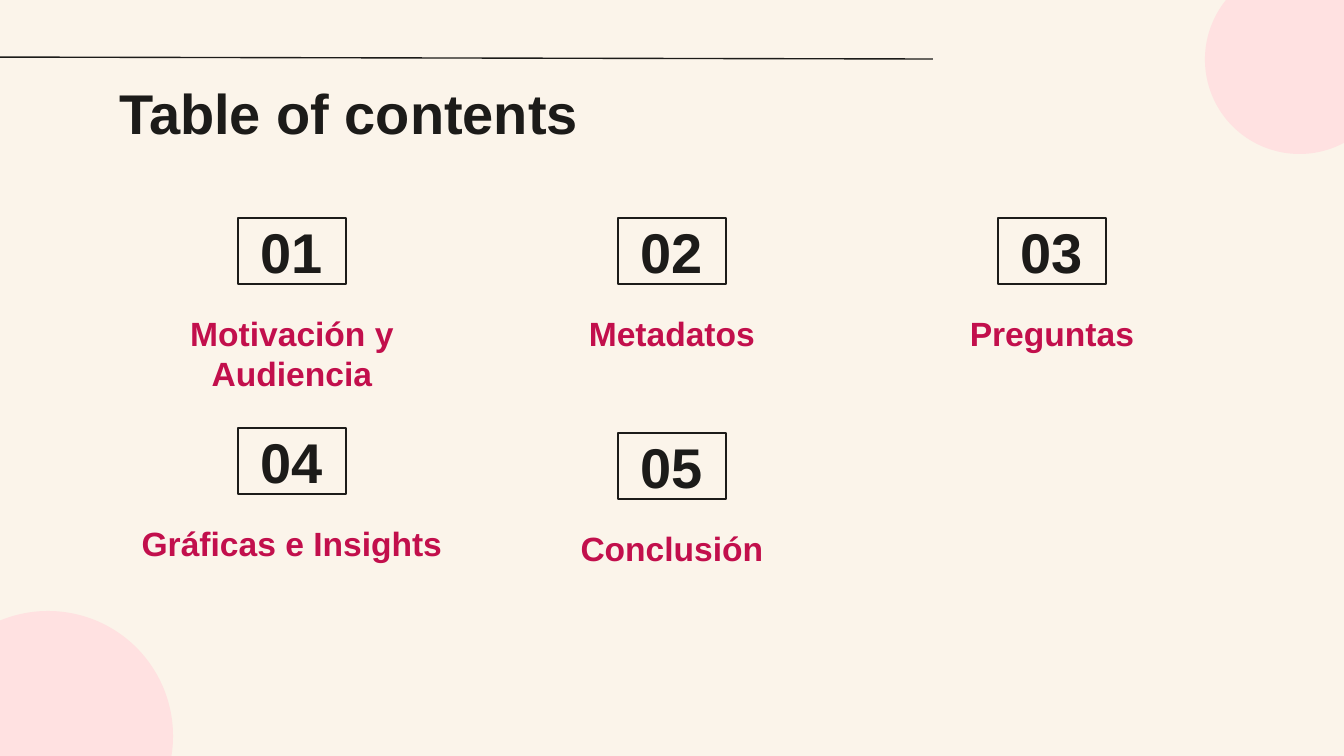
from pptx import Presentation
from pptx.dml.color import RGBColor
from pptx.enum.shapes import MSO_CONNECTOR, MSO_SHAPE
from pptx.enum.text import MSO_ANCHOR, MSO_AUTO_SIZE, PP_ALIGN
from pptx.oxml.ns import qn
from pptx.util import Emu, Pt

COLORS = {"paper": "FBF4EA", "blush": "FFE1E1", "ink": "1C1B19", "berry": "C20F4C"}
FONT = "Arial"
EMU_PER_PX = 914400 / 134.4
COLUMN_LEFT, COLUMN_STEP, COLUMN_WIDTH = 106, 380, 372
BOX_WIDTH, BOX_HEIGHT, LABEL_DROP = 108, 66, 82
TOPICS = [
    ("Motivación y Audiencia", 0, 218),
    ("Metadatos", 1, 218),
    ("Preguntas", 2, 218),
    ("Gráficas e Insights", 0, 428),
    ("Conclusión", 1, 433),
]


def px(n):
    return Emu(round(n * EMU_PER_PX))


def rgb(name):
    return RGBColor.from_string(COLORS[name])


def write(s, text, size, color, align, anchor=MSO_ANCHOR.TOP):
    tf = s.text_frame
    tf.word_wrap = True
    tf.auto_size = MSO_AUTO_SIZE.NONE
    tf.vertical_anchor = anchor
    tf.margin_left = tf.margin_right = tf.margin_top = tf.margin_bottom = px(13)
    p = tf.paragraphs[0]
    p.text = text
    p.alignment = align
    p.font.name = FONT
    p.font.size = Pt(size)
    p.font.bold = True
    p.font.color.rgb = rgb(color)


def add_circle(slide, left, top, diameter):
    s = slide.shapes.add_shape(
        MSO_SHAPE.OVAL, px(left), px(top), px(diameter), px(diameter)
    )
    s.shadow.inherit = False
    s.fill.solid()
    s.fill.fore_color.rgb = rgb("blush")
    s.line.fill.background()


def add_rule(slide, x1, y1, x2, y2):
    s = slide.shapes.add_connector(
        MSO_CONNECTOR.STRAIGHT, px(x1), px(y1), px(x2), px(y2)
    )
    s.line.color.rgb = rgb("ink")
    s.line.width = Pt(0.75)
    sp_pr = s._element.spPr
    sp_pr.append(sp_pr.makeelement(qn("a:effectLst"), {}))


def set_title(slide, text):
    s = slide.shapes.title
    s.left, s.top, s.width, s.height = px(106), px(66), px(1132), px(84)
    write(s, text, 30, "ink", PP_ALIGN.LEFT)


def add_number(slide, number, left, top):
    s = slide.shapes.add_shape(
        MSO_SHAPE.RECTANGLE, px(left), px(top), px(BOX_WIDTH), px(BOX_HEIGHT)
    )
    s.shadow.inherit = False
    s.fill.background()
    s.line.color.rgb = rgb("ink")
    s.line.width = Pt(0.75)
    write(s, f"{number:02d}", 30, "ink", PP_ALIGN.CENTER, MSO_ANCHOR.MIDDLE)


def add_label(slide, text, left, top):
    s = slide.shapes.add_textbox(px(left), px(top), px(COLUMN_WIDTH), px(BOX_HEIGHT))
    write(s, text, 18, "berry", PP_ALIGN.CENTER)


def add_topic(slide, number, text, column, top):
    left = COLUMN_LEFT + column * COLUMN_STEP
    add_number(slide, number, left + (COLUMN_WIDTH - BOX_WIDTH) // 2, top)
    add_label(slide, text, left, top + LABEL_DROP)


def main():
    prs = Presentation()
    prs.slide_width, prs.slide_height = px(1344), px(756)
    slide = prs.slides.add_slide(prs.slide_layouts[5])
    slide.background.fill.solid()
    slide.background.fill.fore_color.rgb = rgb("paper")
    add_circle(slide, 1205, -35, 189)
    add_circle(slide, -77, 611, 250)
    add_rule(slide, 933, 59, -38, 57)
    set_title(slide, "Table of contents")
    for number, (text, column, top) in enumerate(TOPICS, 1):
        add_topic(slide, number, text, column, top)
    prs.save("out.pptx")


if __name__ == "__main__":
    main()
